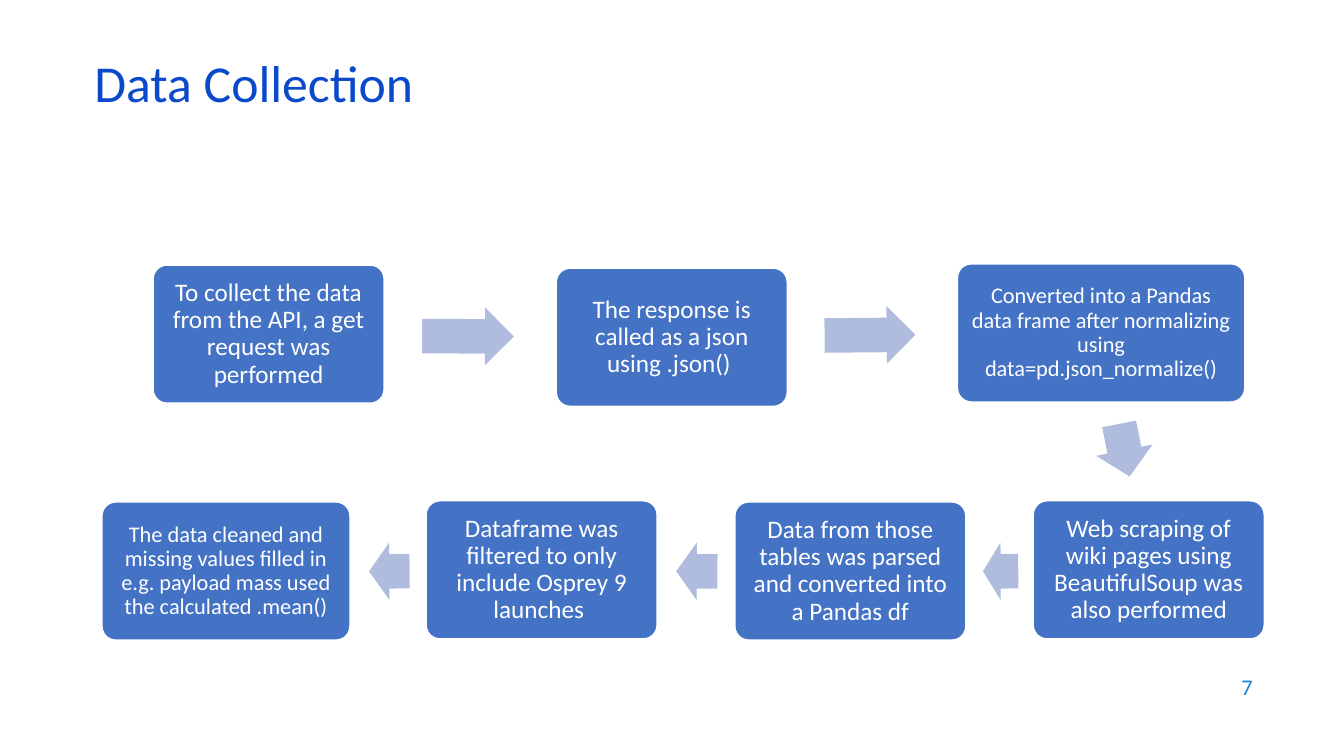
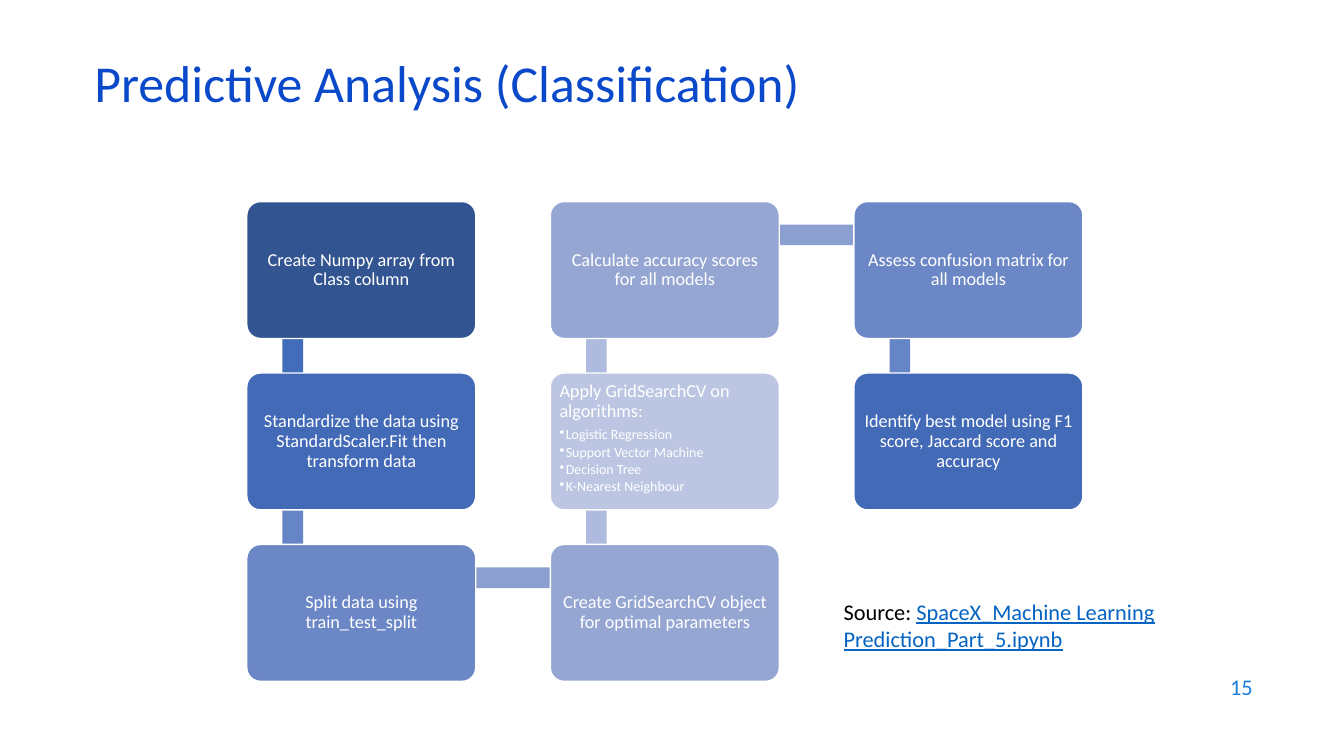
from lxml import etree
from pptx import Presentation
from pptx.dml.color import RGBColor
from pptx.enum.shapes import MSO_SHAPE
from pptx.enum.text import MSO_ANCHOR, PP_ALIGN
from pptx.oxml.ns import qn
from pptx.util import Cm, Pt

ROUNDED = MSO_SHAPE.ROUNDED_RECTANGLE
RECTANGLE = MSO_SHAPE.RECTANGLE
ARROW = MSO_SHAPE.RIGHT_ARROW
TOP, MIDDLE = MSO_ANCHOR.TOP, MSO_ANCHOR.MIDDLE
LEFT, CENTER, RIGHT = PP_ALIGN.LEFT, PP_ALIGN.CENTER, PP_ALIGN.RIGHT

FONT = "Calibri"
WHITE = RGBColor(0xFF, 0xFF, 0xFF)
BLACK = RGBColor(0x00, 0x00, 0x00)
TITLE_BLUE = RGBColor(0x0B, 0x49, 0xCB)
NUMBER_BLUE = RGBColor(0x1C, 0x7D, 0xDB)
LINK_BLUE = RGBColor(0x05, 0x63, 0xC1)
STEP_BLUE = RGBColor(0x44, 0x72, 0xC4)
ARROW_BLUE = RGBColor(0xB0, 0xBC, 0xDE)
STAGE_NAVY = RGBColor(0x32, 0x54, 0x91)
STAGE_DEEP = RGBColor(0x43, 0x6A, 0xB7)
STAGE_MID = RGBColor(0x6C, 0x87, 0xC5)
STAGE_SOFT = RGBColor(0x95, 0xA6, 0xD3)
STAGE_PALE = RGBColor(0xBC, 0xC6, 0xE2)
LINK_DEEP = RGBColor(0x41, 0x6D, 0xBB)
LINK_MID = RGBColor(0x66, 0x85, 0xC6)
LINK_SOFT = RGBColor(0x8B, 0xA0, 0xD1)
LINK_PALE = RGBColor(0xAF, 0xBB, 0xDE)


def add_block(slide, kind, left, top, width, height, fill, margin=None):
    block = slide.shapes.add_shape(kind, Cm(left), Cm(top), Cm(width), Cm(height))
    block.shadow.inherit = False
    block.fill.solid()
    block.fill.fore_color.rgb = fill
    if margin is None:
        block.line.fill.background()
        return block
    block.adjustments[0] = 0.1
    block.line.color.rgb = WHITE
    block.line.width = Pt(1)
    frame = block.text_frame
    frame.word_wrap = True
    frame.vertical_anchor = MIDDLE
    frame.margin_left = frame.margin_right = Cm(margin)
    frame.margin_top = frame.margin_bottom = Cm(margin)
    return block


def write(paragraph, text, size, color, align=LEFT, spacing=1.0):
    paragraph.alignment = align
    paragraph.line_spacing = spacing
    run = paragraph.add_run()
    run.text = text
    run.font.name = FONT
    run.font.size = Pt(size)
    run.font.color.rgb = color
    return run


deck = Presentation()
deck.slide_width, deck.slide_height = Cm(33.87), Cm(19.05)

slides = []
for title, number in [
    ("Data Collection", "7"),
    ("Predictive Analysis (Classification)", "15"),
]:
    slide = deck.slides.add_slide(deck.slide_layouts[6])
    slides.append(slide)
    for text, left, top, width, height, size, color, align, spacing in [
        (title, 2.13, 1.5, 29.21, 1.52, 37, TITLE_BLUE, LEFT, 0.7),
        (number, 24.2, 16.74, 7.62, 1.12, 16, NUMBER_BLUE, RIGHT, 1.0),
    ]:
        frame = slide.shapes.add_textbox(
            Cm(left), Cm(top), Cm(width), Cm(height)).text_frame
        frame.word_wrap = True
        frame.vertical_anchor = MIDDLE
        write(frame.paragraphs[0], text, size, color, align, spacing)

collection, classification = slides

STEP_HEIGHT = 3.48
for text, left, top, width, size in [
    ("To collect the data from the API, a get request was performed",
     3.86, 6.68, 5.82, 18),
    ("The response is called as a json using .json() ",
     14.02, 6.76, 5.82, 18),
    ("Converted into a Pandas data frame after normalizing using "
     "data=pd.json_normalize()", 24.13, 6.65, 7.24, 16),
    ("Web scraping of wiki pages using BeautifulSoup was also performed",
     26.04, 12.62, 5.82, 18),
    ("Data from those tables was parsed and converted into a Pandas df",
     18.52, 12.65, 5.82, 18),
    ("Dataframe was filtered to only include Osprey 9 launches ",
     10.74, 12.62, 5.82, 18),
    ("The data cleaned and missing values filled in e.g. payload mass used "
     "the calculated .mean()", 2.57, 12.65, 6.25, 16),
]:
    step = add_block(collection, ROUNDED, left, top, width, STEP_HEIGHT,
                     STEP_BLUE, 0.18)
    write(step.text_frame.paragraphs[0], text, size, WHITE, CENTER, 0.9)

ARROW_HEIGHT = 1.45
for left, top, length, angle in [
    (10.64, 7.75, 2.31, 0.3),
    (20.78, 7.72, 2.29, 359.5),
    (27.66, 10.62, 1.35, 78.7),
    (24.77, 13.67, 0.89, 179.8),
    (17.04, 13.67, 1.04, 180.2),
    (9.3, 13.67, 1.02, 179.8),
]:
    arrow = add_block(collection, ARROW, left, top, length, ARROW_HEIGHT, ARROW_BLUE)
    arrow.adjustments[0] = 0.6
    arrow.adjustments[1] = 0.5
    arrow.rotation = angle

GRID_LEFT, GRID_TOP = 6.22, 5.08
COLUMN_PITCH, ROW_PITCH = 7.65, 4.32
STAGE_WIDTH, STAGE_HEIGHT = 5.77, 3.45
LINK_THICKNESS = 0.52

for column, row, horizontal, color in [
    (0, 0, False, LINK_DEEP),
    (0, 1, False, LINK_MID),
    (0, 2, True, LINK_SOFT),
    (1, 1, False, LINK_PALE),
    (1, 0, False, LINK_PALE),
    (1, 0, True, LINK_SOFT),
    (2, 0, False, LINK_MID),
]:
    left = GRID_LEFT + column * COLUMN_PITCH
    top = GRID_TOP + row * ROW_PITCH
    if horizontal:
        add_block(classification, RECTANGLE, left + 1.17, top + 0.58,
                  COLUMN_PITCH, LINK_THICKNESS, color)
    else:
        add_block(classification, RECTANGLE, left + 0.9, top + 0.85,
                  LINK_THICKNESS, ROW_PITCH, color)

for column, row, color, text, algorithms in [
    (0, 0, STAGE_NAVY, "Create Numpy array from Class column", []),
    (0, 1, STAGE_DEEP,
     "Standardize the data using StandardScaler.Fit then transform data", []),
    (0, 2, STAGE_MID, "Split data using train_test_split", []),
    (1, 2, STAGE_SOFT, "Create GridSearchCV object for optimal parameters", []),
    (1, 1, STAGE_PALE, "Apply GridSearchCV on algorithms:",
     ["Logistic Regression", "Support Vector Machine", "Decision Tree",
      "K-Nearest Neighbour"]),
    (1, 0, STAGE_SOFT, "Calculate accuracy scores for all models", []),
    (2, 0, STAGE_MID, "Assess confusion matrix for all models", []),
    (2, 1, STAGE_DEEP,
     "Identify best model using F1 score, Jaccard score and accuracy", []),
]:
    stage = add_block(classification, ROUNDED,
                      GRID_LEFT + column * COLUMN_PITCH,
                      GRID_TOP + row * ROW_PITCH,
                      STAGE_WIDTH, STAGE_HEIGHT, color, 0.13)
    frame = stage.text_frame
    heading = frame.paragraphs[0]
    write(heading, text, 13, WHITE, LEFT if algorithms else CENTER, 0.9)
    if algorithms:
        frame.vertical_anchor = TOP
        heading.space_after = Pt(4.5)
    for algorithm in algorithms:
        item = frame.add_paragraph()
        item.level = 1
        item.space_after = Pt(1.5)
        properties = item._p.get_or_add_pPr()
        properties.set("marL", str(Cm(0.16)))
        properties.set("indent", str(-Cm(0.16)))
        etree.SubElement(properties, qn("a:buChar")).set("char", "•")
        write(item, algorithm, 10, WHITE, LEFT, 0.9)

notebook = classification.shapes.add_textbox(
    Cm(21.01), Cm(14.96), Cm(12.27), Cm(1.63)).text_frame
notebook.word_wrap = True
reference = notebook.paragraphs[0]
write(reference, "Source: ", 16, BLACK)
file_name = write(reference, "SpaceX_Machine Learning Prediction_Part_5.ipynb",
                  16, LINK_BLUE)
file_name.font.underline = True

deck.save("out.pptx")
